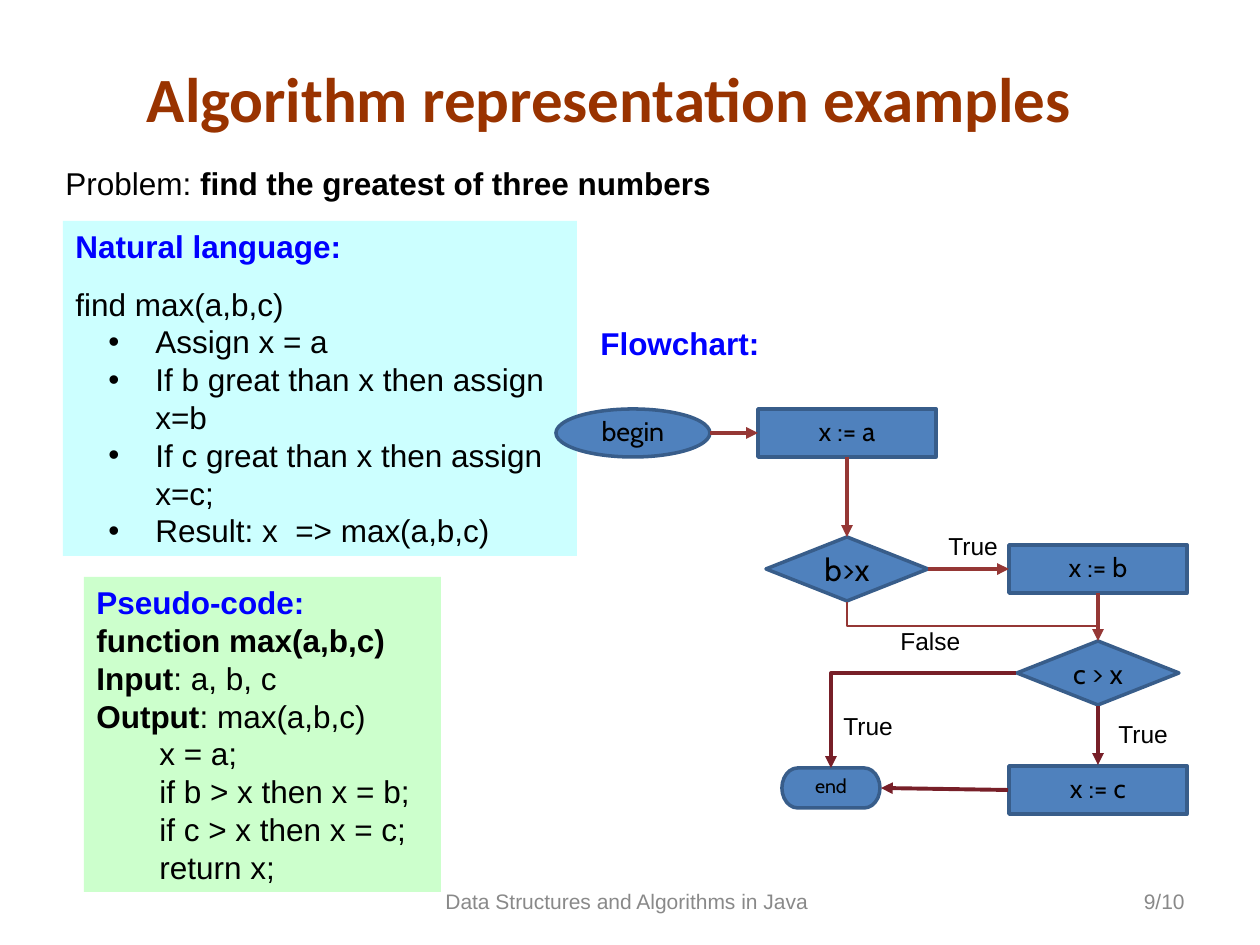
"""Build a slide that shows one algorithm in prose, code and flowchart form."""
from dataclasses import dataclass
from typing import Any, NamedTuple, Optional

from pptx import Presentation
from pptx.dml.color import RGBColor
from pptx.enum.shapes import MSO_CONNECTOR, MSO_SHAPE
from pptx.enum.text import MSO_ANCHOR, PP_ALIGN
from pptx.oxml.ns import qn
from pptx.util import Emu, Pt
from lxml.etree import SubElement

BLACK = RGBColor(0x00, 0x00, 0x00)
BLUE = RGBColor(0x00, 0x00, 0xFF)
BROWN = RGBColor(0x99, 0x33, 0x00)
GREY = RGBColor(0x89, 0x89, 0x89)
CYAN = RGBColor(0xCC, 0xFF, 0xFF)
GREEN = RGBColor(0xCC, 0xFF, 0xCC)
STEEL = RGBColor(0x4F, 0x81, 0xBD)
NAVY = RGBColor(0x38, 0x5D, 0x8A)
RED = RGBColor(0x95, 0x37, 0x35)
WINE = RGBColor(0x77, 0x1F, 0x28)


class Run(NamedTuple):
    text: str
    bold: bool = False
    color: RGBColor = BLACK


@dataclass
class Para:
    runs: list[Run]
    left: int = 0
    first: int = 0
    before: float = 0
    bullet: bool = False


@dataclass
class Box:
    area: tuple[int, int, int, int]
    paras: list[Para]
    fill: Optional[RGBColor] = None
    size: float = 18
    align: PP_ALIGN = PP_ALIGN.LEFT
    anchor: MSO_ANCHOR = MSO_ANCHOR.TOP


@dataclass
class Node:
    kind: MSO_SHAPE
    area: tuple[int, int, int, int]
    text: str
    size: float = 15.3
    space: float = 0.9


@dataclass
class Link:
    ends: tuple[int, int, int, int]
    color: RGBColor = RED
    width: float = 2.25
    bent: bool = False
    head: bool = True


def px(num: int) -> Emu:
    """Turn px into EMU."""
    return Emu(round(num * 914400 / 126))


def put(item: Any, vals: dict[str, Any]) -> None:
    """Set each named value on the item."""
    for name, val in vals.items():
        setattr(item, name, val)


def write(para: Any, run: Run, size: float, face: str = "Arial") -> None:
    """Add one run of text."""
    part = para.add_run()
    part.text = run.text
    put(part.font, {"name": face, "size": Pt(size), "bold": run.bold})
    part.font.color.rgb = run.color


def draw_box(slide: Any, box: Box) -> None:
    """Draw a text box with its paragraphs."""
    shape = slide.shapes.add_textbox(*map(px, box.area))
    if box.fill is not None:
        shape.fill.solid()
        shape.fill.fore_color.rgb = box.fill
    frame = shape.text_frame
    put(frame, {"word_wrap": True, "vertical_anchor": box.anchor})
    for num, spec in enumerate(box.paras):
        para = frame.add_paragraph() if num else frame.paragraphs[0]
        put(para, {"alignment": box.align, "space_before": Pt(spec.before)})
        props = para._p.get_or_add_pPr()
        props.set("marL", str(px(spec.left)))
        props.set("indent", str(px(spec.first)))
        if spec.bullet:
            SubElement(props, qn("a:buFont")).set("typeface", "Arial")
            SubElement(props, qn("a:buChar")).set("char", "•")
        for run in spec.runs:
            write(para, run, box.size)


def draw_node(slide: Any, node: Node) -> None:
    """Draw one flowchart step."""
    shape = slide.shapes.add_shape(node.kind, *map(px, node.area))
    shape.shadow.inherit = False
    shape.fill.solid()
    shape.fill.fore_color.rgb = STEEL
    shape.line.color.rgb = NAVY
    shape.line.width = Pt(2)
    frame = shape.text_frame
    put(frame, {"word_wrap": True, "vertical_anchor": MSO_ANCHOR.MIDDLE})
    para = frame.paragraphs[0]
    put(para, {"alignment": PP_ALIGN.CENTER, "line_spacing": node.space})
    write(para, Run(node.text), node.size, "Cabin")


def draw_link(slide: Any, link: Link) -> None:
    """Draw a straight or bent line between steps."""
    kind = MSO_CONNECTOR.ELBOW if link.bent else MSO_CONNECTOR.STRAIGHT
    line = slide.shapes.add_connector(kind, *map(px, link.ends))
    line.line.color.rgb = link.color
    line.line.width = Pt(link.width)
    props = line._element.spPr
    if link.bent:
        props.find(qn("a:prstGeom")).set("prst", "bentConnector2")
    if link.head:
        SubElement(props.find(qn("a:ln")), qn("a:tailEnd")).set("type", "triangle")
    SubElement(props, qn("a:effectLst"))


def label(text: str, left: int, top: int) -> Box:
    """Make a branch label."""
    return Box((left, top, 100, 43), [Para([Run(text)])], size=14)


def step(text: str) -> Para:
    """Make a bullet of the prose form."""
    return Para([Run(text)], 80, -47, bullet=True)


def code(*runs: Run, left: int = 63) -> Para:
    """Make a line of the pseudo-code."""
    return Para(list(runs), left, -63)


def foot(text: str, left: int, width: int, align: PP_ALIGN) -> Box:
    """Make a footer text."""
    return Box((left, 876, width, 50), [Para([Run(text, color=GREY)])],
               size=12, align=align, anchor=MSO_ANCHOR.MIDDLE)


def head(text: str) -> Para:
    """Make a blue heading."""
    return Para([Run(text, True, BLUE)])


PROSE = [head("Natural language:"), Para([Run("find max(a,b,c)")], before=11.2)] + [
    step(text) for text in (
        "Assign x = a", "If b great than x then assign x=b",
        "If c great than x then assign x=c;", "Result: x  => max(a,b,c)")]
PSEUDO = [head("Pseudo-code:"), code(Run("function max(a,b,c)", True)),
          code(Run("Input", True), Run(": a, b, c")),
          code(Run("Output", True), Run(": max(a,b,c)"))] + [
    code(Run(text), left=126) for text in (
        "x = a;", "if b > x then x = b;", "if c > x then x = c;", "return x;")]
TASK = [Para([Run("Problem: "), Run("find the greatest of three numbers", True)])]

BACK = [foot("Data Structures and Algorithms in Java", 399, 456, PP_ALIGN.CENTER),
        foot("9/10", 903, 294, PP_ALIGN.RIGHT),
        Box((63, 221, 514, 335), PROSE, CYAN), Box((84, 577, 357, 315), PSEUDO, GREEN)]
NODES = [Node(MSO_SHAPE.FLOWCHART_PROCESS, (758, 409, 178, 48), "x := a"),
         Node(MSO_SHAPE.FLOWCHART_DECISION, (766, 537, 162, 64), "b>x", 18, 1),
         Node(MSO_SHAPE.FLOWCHART_PROCESS, (1009, 545, 178, 48), "x := b"),
         Node(MSO_SHAPE.FLOWCHART_DECISION, (1017, 641, 162, 64), "c > x", 16, 1),
         Node(MSO_SHAPE.FLOWCHART_PROCESS, (1009, 766, 178, 48), "x := c"),
         Node(MSO_SHAPE.FLOWCHART_TERMINATOR, (782, 768, 98, 40), "end", 11.2, 0.8),
         Node(MSO_SHAPE.OVAL, (556, 409, 154, 48), "begin")]
LINKS = [Link((710, 433, 758, 433)), Link((847, 457, 847, 537)),
         Link((928, 569, 1009, 569)), Link((1098, 593, 1098, 641)),
         Link((1098, 706, 1098, 765), WINE), Link((1008, 790, 881, 788), WINE),
         Link((1016, 673, 831, 768), WINE, bent=True),
         Link((1098, 626, 847, 602), width=0.75, bent=True, head=False)]
FRONT = [label("True", 936, 525), label("False", 888, 620), label("True", 1106, 713),
         label("True", 831, 705), Box((588, 318, 242, 50), [head("Flowchart:")]),
         Box((53, 158, 756, 50), TASK)]


def main() -> None:
    """Build and save the deck."""
    deck = Presentation()
    put(deck, {"slide_width": px(1260), "slide_height": px(945)})
    slide = deck.slides.add_slide(deck.slide_layouts[5])
    title = slide.shapes.title
    put(title, dict(zip(("left", "top", "width", "height"), map(px, (42, 53, 1134, 88)))))
    put(title.text_frame, {"word_wrap": True, "vertical_anchor": MSO_ANCHOR.MIDDLE})
    para = title.text_frame.paragraphs[0]
    para.alignment = PP_ALIGN.CENTER
    write(para, Run("Algorithm representation examples", True, BROWN), 36, "Calibri")
    for draw, items in ((draw_box, BACK), (draw_node, NODES),
                        (draw_link, LINKS), (draw_box, FRONT)):
        for item in items:
            draw(slide, item)
    deck.save("out.pptx")


if __name__ == "__main__":
    main()
